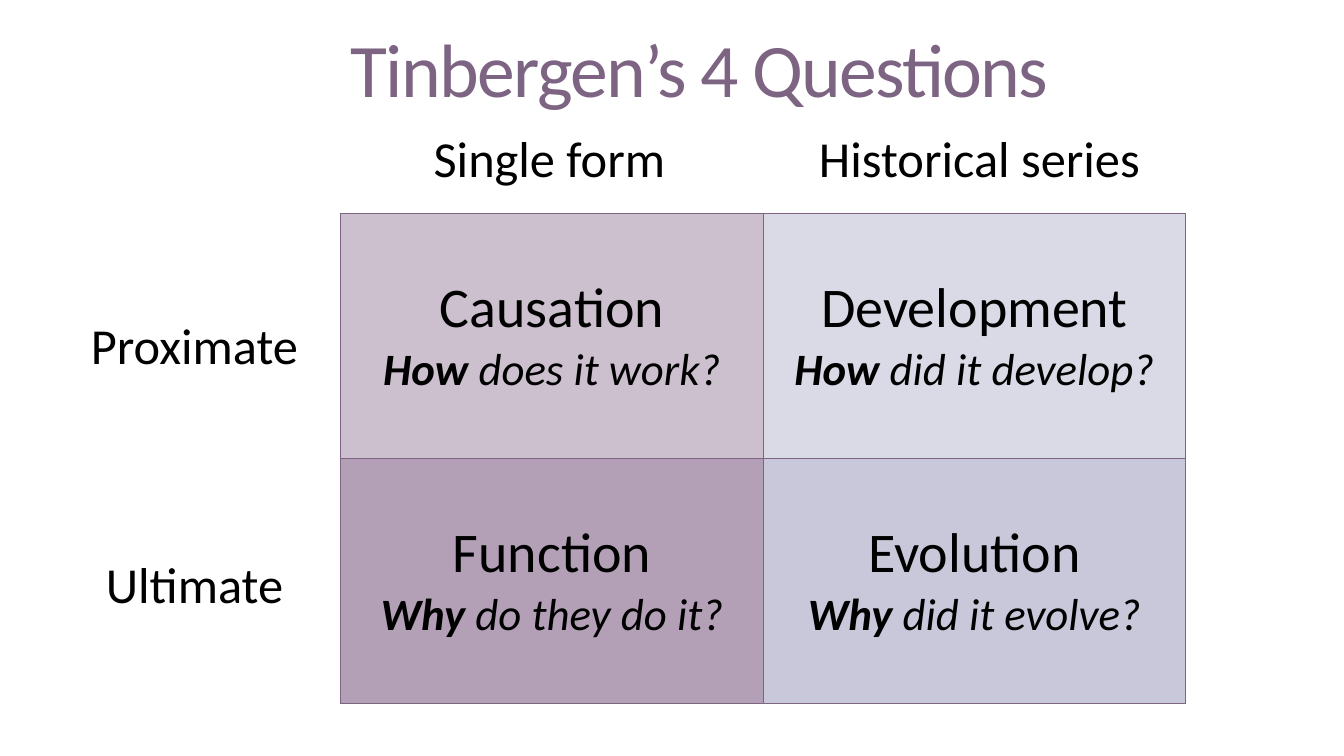
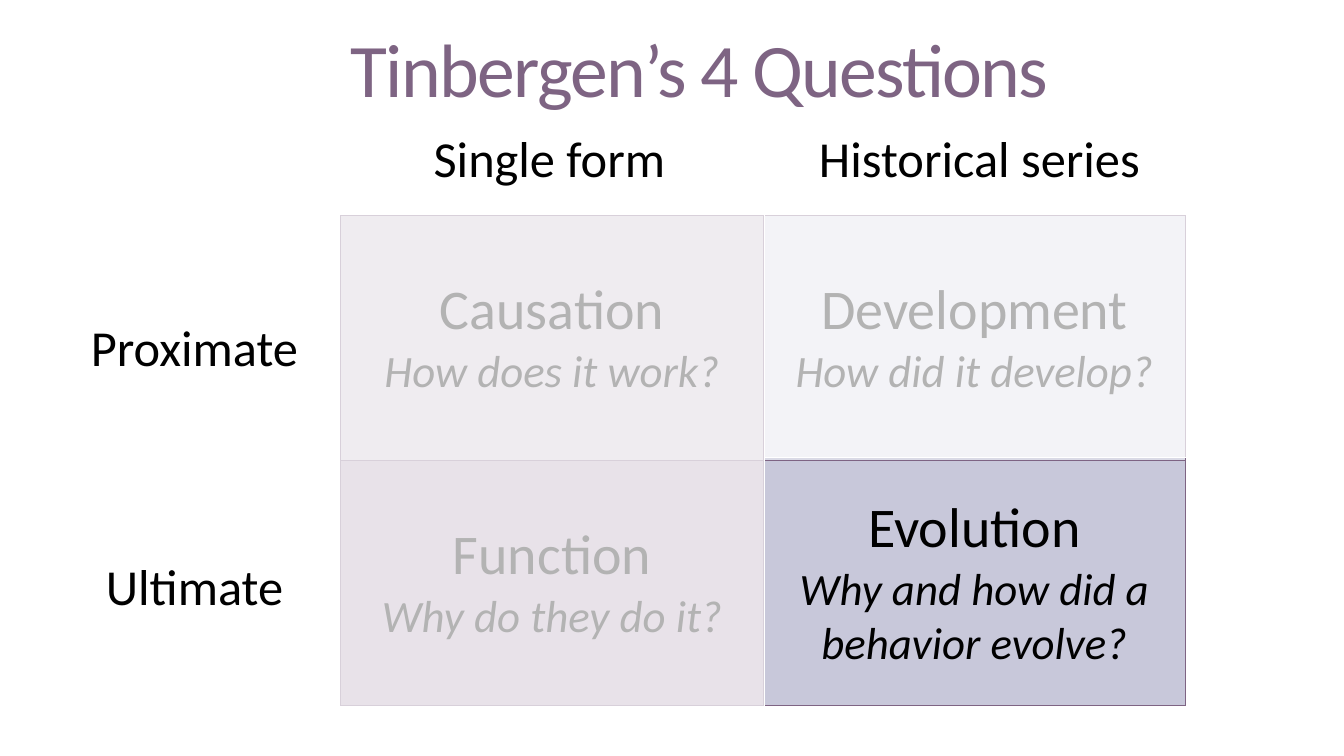
from lxml import etree
from pptx import Presentation
from pptx.dml.color import RGBColor
from pptx.enum.shapes import MSO_SHAPE
from pptx.enum.text import MSO_ANCHOR, PP_ALIGN
from pptx.oxml.ns import qn
from pptx.util import Inches, Pt

LEFT, CENTER = PP_ALIGN.LEFT, PP_ALIGN.CENTER
TOP, MIDDLE = MSO_ANCHOR.TOP, MSO_ANCHOR.MIDDLE
RECTANGLE = MSO_SHAPE.RECTANGLE

BLACK = RGBColor(0x00, 0x00, 0x00)
WHITE = RGBColor(0xFF, 0xFF, 0xFF)
PLUM = RGBColor(0x7E, 0x64, 0x83)
QUADRANT_FILLS = (
    (RGBColor(0xCC, 0xC0, 0xCF), RGBColor(0xDA, 0xDA, 0xE6)),
    (RGBColor(0xB3, 0xA0, 0xB7), RGBColor(0xC8, 0xC8, 0xDA)),
)

TITLE = {"name": "Calibri", "size": Pt(54), "color": PLUM}
LABEL = {"name": "Calibri", "size": Pt(36), "color": BLACK}
HEADING = {"name": "Calibri", "size": Pt(40), "color": BLACK}
QUESTION = {"name": "Calibri", "size": Pt(32), "color": BLACK, "italic": True}

GRID_LEFT, CELL_WIDTH, CELL_HEIGHT = 3.38, 4.19, 2.43
COLUMN_LABELS = (("Single form", 4, 2.9), ("Historical series", 7.88, 3.67))
ROW_LABELS = ("Proximate", "Ultimate")
LABEL_HEIGHT, ROW_LABEL_OFFSET, ROW_LABEL_STEP = 0.71, 0.95, 2.37

HEADINGS = (("Causation", "Development"), ("Function", "Evolution"))
OVERVIEW = (
    (("How", " does it work?"), ("How", " did it develop?")),
    (("Why", " do they do it?"), ("Why", " did it evolve?")),
)
EVOLUTION_FOCUS = (
    (("", "How does it work?"), ("", "How did it develop?")),
    (("", "Why do they do it?"), ("", "Why and how did a behavior evolve?")),
)
VEILS = ((3, 1.79, 4.58, 5.28), (7.58, 1.93, 4.58, 2.61))


class QuestionDeck:
    """Draw the four-question slides in one shared style."""

    def __init__(self):
        self.deck = Presentation()
        self.deck.slide_width = Inches(13.33)
        self.deck.slide_height = Inches(7.5)
        self.slide = None

    def new_slide(self):
        self.slide = self.deck.slides.add_slide(self.deck.slide_layouts[6])

    def run(self, paragraph, text, style, **extra):
        run = paragraph.add_run()
        run.text = text
        for key, value in {**style, **extra}.items():
            if key == "color":
                run.font.color.rgb = value
            else:
                setattr(run.font, key, value)
        return run

    def text(self, text, box, style, align=CENTER, anchor=TOP):
        frame = self.slide.shapes.add_textbox(*map(Inches, box)).text_frame
        frame.word_wrap = True
        frame.vertical_anchor = anchor
        paragraph = frame.paragraphs[0]
        paragraph.alignment = align
        return paragraph, self.run(paragraph, text, style)

    def title(self, text):
        paragraph, run = self.text(text, (3.38, 0.27, 9, 0.94), TITLE, LEFT, MIDDLE)
        paragraph.line_spacing = 0.85
        run.font._element.set("spc", "-120")

    def labels(self, grid_top):
        for label, left, width in COLUMN_LABELS:
            self.text(label, (left, 1.21, width, LABEL_HEIGHT), LABEL)
        for row, label in enumerate(ROW_LABELS):
            top = grid_top + ROW_LABEL_OFFSET + row * ROW_LABEL_STEP
            self.text(label, (0.48, top, 2.9, LABEL_HEIGHT), LABEL)

    def border(self, cell):
        properties = cell._tc.get_or_add_tcPr()
        for position, side in enumerate(("a:lnL", "a:lnR", "a:lnT", "a:lnB")):
            line = etree.Element(qn(side), w=str(Pt(1)))
            fill = etree.SubElement(line, qn("a:solidFill"))
            etree.SubElement(fill, qn("a:srgbClr"), val=str(PLUM))
            properties.insert(position, line)

    def quadrant(self, cell, heading, question, color):
        cell.fill.solid()
        cell.fill.fore_color.rgb = color
        cell.vertical_anchor = MIDDLE
        self.border(cell)
        heading_line = cell.text_frame.paragraphs[0]
        question_line = cell.text_frame.add_paragraph()
        heading_line.alignment = question_line.alignment = CENTER
        self.run(heading_line, heading, HEADING)
        keyword, rest = question
        if keyword:
            self.run(question_line, keyword, QUESTION, bold=True)
        self.run(question_line, rest, QUESTION)

    def grid(self, top, questions):
        box = (GRID_LEFT, top, 2 * CELL_WIDTH, 2 * CELL_HEIGHT)
        table = self.slide.shapes.add_table(2, 2, *map(Inches, box)).table
        table.first_row = table.horz_banding = False
        for row in range(2):
            for column in range(2):
                self.quadrant(table.cell(row, column), HEADINGS[row][column],
                              questions[row][column], QUADRANT_FILLS[row][column])

    def veil(self, box):
        veil = self.slide.shapes.add_shape(RECTANGLE, *map(Inches, box))
        veil.shadow.inherit = False
        veil.fill.solid()
        veil.fill.fore_color.rgb = WHITE
        color = veil._element.spPr.find(qn("a:solidFill"))[0]
        etree.SubElement(color, qn("a:alpha"), val="70000")
        veil.line.color.rgb = WHITE
        veil.line.width = Pt(1)

    def question_slide(self, grid_top, questions, veils=()):
        self.new_slide()
        self.grid(grid_top, questions)
        self.title("Tinbergen’s 4 Questions")
        for box in veils:
            self.veil(box)
        self.labels(grid_top)


def main():
    questions = QuestionDeck()
    questions.question_slide(2.12, OVERVIEW)
    questions.question_slide(2.14, EVOLUTION_FOCUS, VEILS)
    questions.deck.save("out.pptx")


if __name__ == "__main__":
    main()
